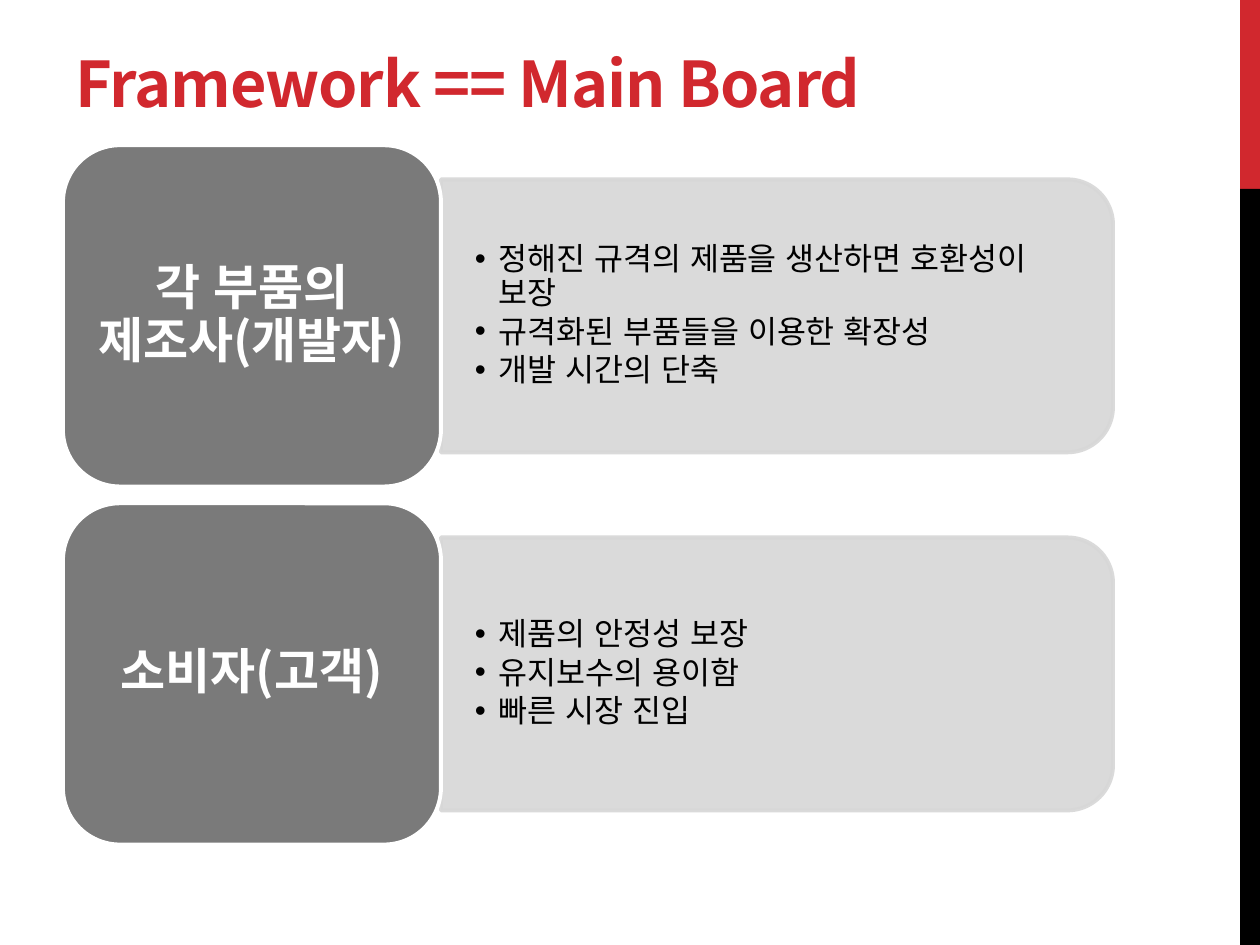
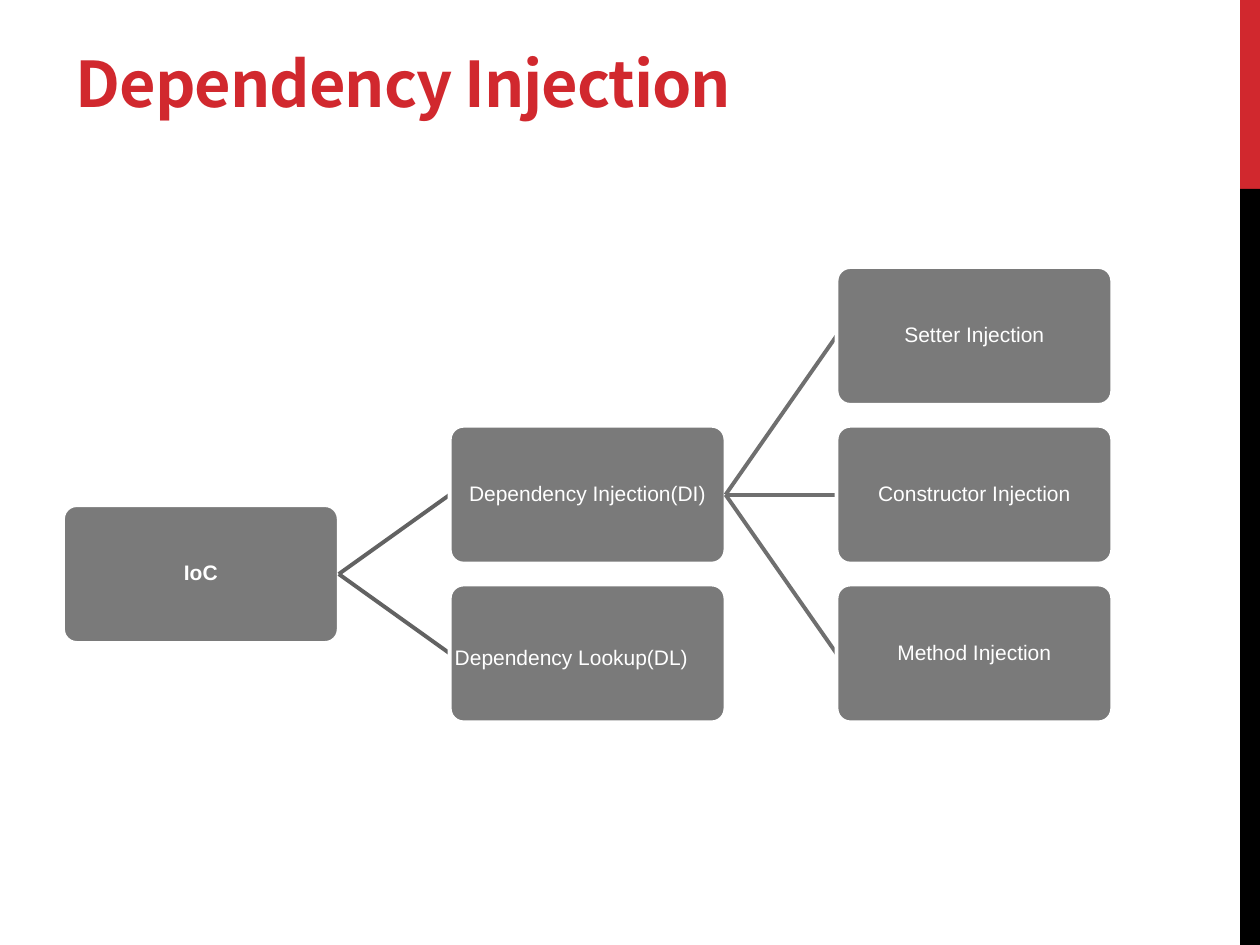
from pptx import Presentation
from pptx.dml.color import RGBColor
from pptx.enum.lang import MSO_LANGUAGE_ID
from pptx.enum.shapes import MSO_CONNECTOR, MSO_SHAPE
from pptx.enum.text import MSO_ANCHOR, MSO_AUTO_SIZE, PP_ALIGN
from pptx.oxml.ns import qn
from pptx.util import Pt
from lxml import etree

RECTANGLE = MSO_SHAPE.RECTANGLE
ROUNDED = MSO_SHAPE.ROUNDED_RECTANGLE
TOP_ROUNDED = MSO_SHAPE.ROUND_2_SAME_RECTANGLE
STRAIGHT = MSO_CONNECTOR.STRAIGHT
LEFT, CENTER = PP_ALIGN.LEFT, PP_ALIGN.CENTER
BOTTOM, MIDDLE = MSO_ANCHOR.BOTTOM, MSO_ANCHOR.MIDDLE
NO_AUTOFIT = MSO_AUTO_SIZE.NONE
KOREAN = MSO_LANGUAGE_ID.KOREAN

COLORS = {"red": "D1282E", "black": "000000", "white": "FFFFFF",
          "box": "7A7A7A", "panel": "D7D7D7",
          "first_link": "626262", "second_link": "6F6F6F"}
HEAD_FONT, BODY_FONT = "Noto Sans CJK KR", "Arial"
TITLE_ONLY, TWO_CONTENT = 5, 3
MARGIN = 36

# Benefit rows
LABEL_WIDTH, LABEL_HEIGHT = 216, 195
ROW_TOP, ROW_STEP = 83, 204.6
PANEL_WIDTH, PANEL_HEIGHT = 384, 156
LIST_WIDTH, LIST_HEIGHT = 376.6, 140.4
BENEFITS = [
    ("각 부품의 제조사(개발자)",
     ["정해진 규격의 제품을 생산하면 호환성이 보장",
      "규격화된 부품들을 이용한 확장성", "개발 시간의 단축"]),
    ("소비자(고객)", ["제품의 안정성 보장", "유지보수의 용이함", "빠른 시장 진입"]),
]

# Tree: (text, row, children)
NODE_WIDTH, NODE_HEIGHT = 157.6, 78.8
COLUMN_STEP, TREE_TOP, TREE_STEP = 221, 152.6, 90.7
LINK_COLORS = ["first_link", "second_link"]
TREE = ("IoC", 1.5, [
    ("Dependency Injection(DI)", 1, [
        ("Setter Injection", 0, []),
        ("Constructor Injection", 1, []),
        ("Method Injection", 2, [])]),
    ("Dependency Lookup(DL)", 2, [])])


def rgb(name):
    return RGBColor.from_string(COLORS[name])


def place(shape, left, top, width, height):
    shape.left, shape.top = Pt(left), Pt(top)
    shape.width, shape.height = Pt(width), Pt(height)


def add_block(page, kind, left, top, width, height, fill, line=None):
    block = page.shapes.add_shape(kind, Pt(left), Pt(top), Pt(width), Pt(height))
    block.shadow.inherit = False
    block.fill.solid()
    block.fill.fore_color.rgb = rgb(fill)
    if line:
        block.line.color.rgb = rgb(line)
        block.line.width = Pt(2.25)
    else:
        block.line.fill.background()
    return block


def set_frame(frame, anchor, side, top, bottom=None):
    frame.word_wrap = True
    frame.auto_size = NO_AUTOFIT
    frame.vertical_anchor = anchor
    frame.margin_left = frame.margin_right = Pt(side)
    frame.margin_top = Pt(top)
    frame.margin_bottom = Pt(top if bottom is None else bottom)


def add_span(para, text, size, color, font, bold=False):
    span = para.add_run()
    span.text = text
    span.font.size = Pt(size)
    span.font.bold = bold
    span.font.name = font
    span.font.color.rgb = rgb(color)
    span.font.language_id = KOREAN
    east_asian = etree.Element(qn("a:ea"), typeface=HEAD_FONT)
    span._r.rPr.find(qn("a:latin")).addnext(east_asian)
    return span


def add_title(page, text):
    title = page.shapes.title
    place(title, MARGIN, 12, 602, 60)
    set_frame(title.text_frame, BOTTOM, 7.2, 3.6)
    para = title.text_frame.paragraphs[0]
    para.alignment = LEFT
    span = add_span(para, text, 36, "red", HEAD_FONT, True)
    span._r.rPr.set("spc", "-60")


def add_side_band(deck, page):
    """Put the two-colour band on the master, so every page shows it."""
    for top, height, color in [(0, 108, "red"), (108, 432, "black")]:
        band = add_block(page, RECTANGLE, 708.6, top, 11.4, height, color)
        deck.slide_master.shapes.element.append(band._element)


def add_panel(page, left, middle):
    # A quarter turn puts the rounded top corners on the right
    panel = add_block(page, TOP_ROUNDED, left + (PANEL_WIDTH - PANEL_HEIGHT) / 2,
                      middle - PANEL_WIDTH / 2, PANEL_HEIGHT, PANEL_WIDTH,
                      "panel", "panel")
    panel.rotation = 90
    for color in panel._element.spPr.iter(qn("a:srgbClr")):
        etree.SubElement(color, qn("a:alpha"), val="90000")


def fill_list(page, holder, left, middle, items):
    place(holder, left, middle - LIST_HEIGHT / 2, LIST_WIDTH, LIST_HEIGHT)
    frame = holder.text_frame
    set_frame(frame, MIDDLE, 19.4, 10)
    for number, item in enumerate(items):
        para = frame.add_paragraph() if number else frame.paragraphs[0]
        para.line_spacing = 0.9
        para.space_before, para.space_after = Pt(0), Pt(2.7)
        properties = para._p.get_or_add_pPr()
        properties.set("marL", str(Pt(13.5)))
        properties.set("indent", str(Pt(-13.5)))
        etree.SubElement(properties, qn("a:buChar"), char="•")
        add_span(para, item, 18, "black", BODY_FONT)
    page.shapes.element.append(holder._element)  # above its panel


def add_label(page, top, text):
    label = add_block(page, ROUNDED, MARGIN, top, LABEL_WIDTH, LABEL_HEIGHT,
                      "box", "white")
    set_frame(label.text_frame, MIDDLE, 8.4, 4.2)
    para = label.text_frame.paragraphs[0]
    para.alignment, para.line_spacing = CENTER, 0.9
    add_span(para, text, 28, "white", HEAD_FONT, True)


def add_node(page, left, top, text, is_root, is_lookup):
    node = add_block(page, ROUNDED, left, top, NODE_WIDTH, NODE_HEIGHT,
                     "box", "white")
    node.adjustments[0] = 0.1
    # The lookup label sits at the left, slightly low
    set_frame(node.text_frame, MIDDLE, 0.6, 6.4 if is_lookup else 0.6, 0.6)
    para = node.text_frame.paragraphs[0]
    para.alignment = LEFT if is_lookup else CENTER
    para.line_spacing = 0.9
    add_span(para, text, 12, "white", BODY_FONT, is_root)


def add_link(page, start, end, color):
    link = page.shapes.add_connector(STRAIGHT, *map(Pt, start + end))
    link.line.color.rgb = rgb(color)
    link.line.width = Pt(2.25)
    etree.SubElement(link._element.spPr, qn("a:effectLst"))


def add_branch(page, branch, depth=0, start=None):
    text, row, children = branch
    left, top = MARGIN + depth * COLUMN_STEP, TREE_TOP + row * TREE_STEP
    middle = top + NODE_HEIGHT / 2
    if start:
        add_link(page, start, (left, middle), LINK_COLORS[depth - 1])
    add_node(page, left, top, text, depth == 0, depth == 1 and not children)
    for child in children:
        add_branch(page, child, depth + 1, (left + NODE_WIDTH, middle))


def add_benefits_page(deck):
    page = deck.slides.add_slide(deck.slide_layouts[TWO_CONTENT])
    add_side_band(deck, page)
    add_title(page, "Framework == Main Board")
    holders = list(page.placeholders)[1:]
    for number, (name, items) in enumerate(BENEFITS):
        top = ROW_TOP + number * ROW_STEP
        left, middle = MARGIN + LABEL_WIDTH, top + LABEL_HEIGHT / 2
        add_panel(page, left, middle)
        fill_list(page, holders[number], left, middle, items)
        add_label(page, top, name)


def add_tree_page(deck):
    page = deck.slides.add_slide(deck.slide_layouts[TITLE_ONLY])
    add_title(page, "Dependency Injection")
    add_branch(page, TREE)


def main():
    deck = Presentation()
    deck.slide_width, deck.slide_height = Pt(720), Pt(540)
    add_benefits_page(deck)
    add_tree_page(deck)
    deck.save("out.pptx")


if __name__ == "__main__":
    main()
